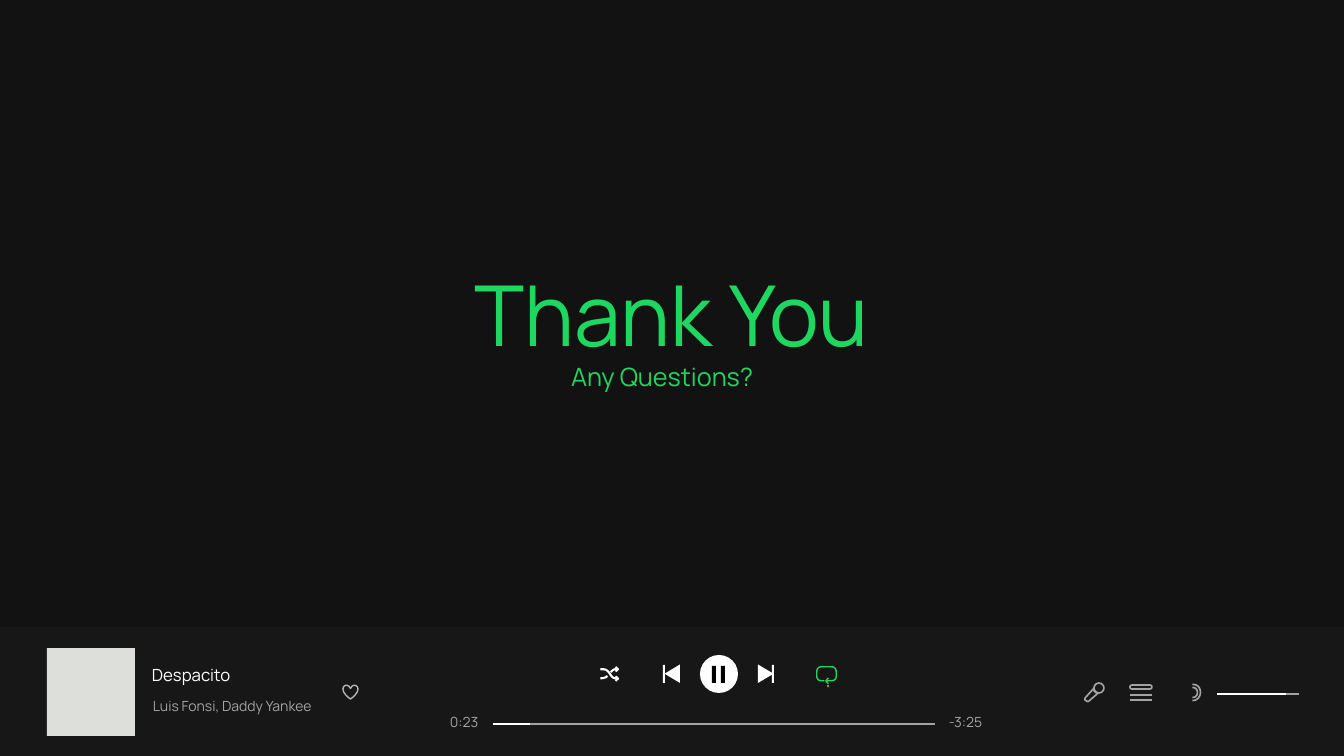
from pptx import Presentation
from pptx.dml.color import RGBColor
from pptx.enum.shapes import MSO_CONNECTOR, MSO_SHAPE
from pptx.enum.text import MSO_ANCHOR, MSO_AUTO_SIZE, PP_ALIGN
from pptx.oxml import parse_xml
from pptx.util import Emu, Pt

RECT, OVAL = MSO_SHAPE.RECTANGLE, MSO_SHAPE.OVAL
ROUND, HEART = MSO_SHAPE.ROUNDED_RECTANGLE, MSO_SHAPE.HEART
LEFT, CENTER = PP_ALIGN.LEFT, PP_ALIGN.CENTER
PX = 12192000 / 1344
FONT = "Manrope"
COLORS = {"page": "121212", "bar": "171717", "cover": "DDDFDA", "green": "1ED760",
          "white": "FFFFFF", "gray": "A3A3A3", "heart": "B4B5B2", "black": "000000"}

# Text: wording, (left, top, width, height), size, color, alignment
TITLE = ("Thank You", (435, 257, 473, 112), 60, "green", CENTER)
SUBTITLE = ("Any Questions?", (561, 356, 223, 40), 18, "green", LEFT)
LABELS = [
    ("Luis Fonsi, Daddy Yankee", (143, 693, 195, 27), 10, "gray", LEFT),
    ("Despacito", (142, 660, 211, 30), 12, "white", LEFT),
    ("0:23", (440, 709, 56, 27), 10, "gray", LEFT),
    ("-3:25", (939, 709, 60, 27), 10, "gray", LEFT),
]

# Preset shapes: kind, box, fill, line color, line width
SHAPES = [
    (RECT, (0, 627, 1344, 129), "bar", None, 0),
    (RECT, (47, 648, 88, 88), "cover", None, 0),
    (HEART, (343, 685, 15, 14), None, "heart", 1),
    (OVAL, (700, 655, 38, 38), "white", None, 0),
    (RECT, (712, 666, 4, 17), "black", None, 0),
    (RECT, (721, 666, 4, 17), "black", None, 0),
    (RECT, (663, 665, 2, 18), "white", None, 0),
    (RECT, (772, 665, 2, 18), "white", None, 0),
    (OVAL, (827, 685, 2, 2), "green", None, 0),
    (OVAL, (1094, 683, 10, 10), None, "gray", 1.2),
    (ROUND, (1130, 685, 22, 4), None, "gray", 1.2),
]

# Straight lines: x1, x2, y, color, width
LINES = [
    (493, 935, 724, "gray", 1.8), (493, 530, 724, "white", 1.8),
    (1130, 1152, 695, "gray", 1.2), (1130, 1152, 700, "gray", 1.2),
    (1217, 1299, 694, "gray", 1.8), (1217, 1286, 694, "white", 1.8),
]

# Icon outlines in tenths of a px: a pair is a point, six numbers are a curve
SHUFFLE = [
    [(6005, 6693), (6120, 6680, 6080, 6790, 6175, 6786)],
    [(6005, 6783), (6040, 6783, 6060, 6775, 6075, 6760)],
    [(6110, 6723), (6130, 6695, 6145, 6690, 6175, 6693)],
    [(6155, 6670), (6180, 6693), (6155, 6715)],
    [(6155, 6763), (6180, 6786), (6155, 6808)],
]
REPEAT = [
    [(8245, 6808), (8215, 6808), (8188, 6808, 8168, 6790, 8168, 6762),
     (8168, 6715), (8168, 6688, 8188, 6668, 8215, 6668),
     (8315, 6668), (8342, 6668, 8362, 6688, 8362, 6715),
     (8362, 6762), (8362, 6790, 8342, 6808, 8315, 6808), (8262, 6808)],
    [(8285, 6780), (8258, 6808), (8285, 6838)],
]
MICROPHONE = [
    [(10937, 6885), (10856, 6975), (10846, 6985, 10846, 6995, 10856, 7005),
     (10866, 7010), (10876, 7017, 10886, 7017, 10896, 7005),
     (10977, 6935), (10967, 6930, 10957, 6925, 10947, 6915),
     (10937, 6905, 10937, 6895, 10937, 6885)],
]
VOLUME = [
    [(11925, 6844), (11975, 6844, 12005, 6875, 12005, 6925),
     (12005, 6966, 11975, 7006, 11925, 7006)],
    [(11925, 6875), (11955, 6875, 11975, 6895, 11975, 6925),
     (11975, 6955, 11955, 6975, 11925, 6975)],
]
SKIP = [
    [(6645, 6738), (6800, 6645), (6800, 6830), (6645, 6738)],
    [(7735, 6738), (7580, 6645), (7580, 6830), (7735, 6738)],
]
# Icon strokes, fill, line color, line width
ICONS = [(SHUFFLE, None, "white", 1.5), (REPEAT, None, "green", 1),
         (MICROPHONE, None, "gray", 1.2), (VOLUME, None, "gray", 1.2),
         (SKIP, "white", None, 0)]


def rgb(name):
    return RGBColor.from_string(COLORS[name])


def px(values):
    return [Emu(round(v * PX)) for v in values]


def paint(sp, fill, line, width):
    sp.shadow.inherit = False
    if fill:
        sp.fill.solid()
        sp.fill.fore_color.rgb = rgb(fill)
    else:
        sp.fill.background()
    if line:
        sp.line.color.rgb = rgb(line)
        sp.line.width = Pt(width)
    else:
        sp.line.fill.background()


def write(sp, text, box, size, color, align):
    sp.left, sp.top, sp.width, sp.height = px(box)
    tf = sp.text_frame
    tf.text = text
    frame = {"word_wrap": False, "auto_size": MSO_AUTO_SIZE.SHAPE_TO_FIT_TEXT,
             "vertical_anchor": MSO_ANCHOR.TOP}
    p = tf.paragraphs[0]
    para = {"alignment": align, "space_before": Pt(0), "line_spacing": 1.0}
    font = {"name": FONT, "size": Pt(size), "bold": False}
    for target, values in ((tf, frame), (p, para), (p.runs[0].font, font)):
        for key, value in values.items():
            setattr(target, key, value)
    p.runs[0].font.color.rgb = rgb(color)


def flatten(path, steps=10):
    points = [path[0]]
    for part in path[1:]:
        if len(part) == 2:
            points.append(part)
            continue
        x0, y0 = points[-1]
        x1, y1, x2, y2, x3, y3 = part
        for i in range(1, steps + 1):
            t = i / steps
            a, b, c, d = (1 - t) ** 3, 3 * t * (1 - t) ** 2, 3 * t * t * (1 - t), t ** 3
            points.append((a * x0 + b * x1 + c * x2 + d * x3,
                           a * y0 + b * y1 + c * y2 + d * y3))
    return points


prs = Presentation()
prs.slide_width, prs.slide_height = px((1344, 756))
s = prs.slides.add_slide(prs.slide_layouts[0])
s.background.fill.solid()
s.background.fill.fore_color.rgb = rgb("page")

# Title and subtitle
write(s.shapes.title, *TITLE)
write(s.placeholders[1], *SUBTITLE)

# Player bar, cover and buttons
for kind, box, fill, line, width in SHAPES:
    sp = s.shapes.add_shape(kind, *px(box))
    paint(sp, fill, line, width)
    if kind == ROUND:
        sp.adjustments[0] = 0.5

# Progress, queue and volume lines
for x1, x2, y, color, width in LINES:
    line = s.shapes.add_connector(MSO_CONNECTOR.STRAIGHT, *px((x1, y, x2, y)))
    line.line.color.rgb = rgb(color)
    line.line.width = Pt(width)
    line._element.spPr.append(parse_xml(
        '<a:effectLst xmlns:a="http://schemas.openxmlformats.org/drawingml/2006/main"/>'))

# Drawn icons
for strokes, fill, line, width in ICONS:
    for path in strokes:
        points = flatten(path)
        outline = s.shapes.build_freeform(*points[0], scale=PX / 10)
        outline.add_line_segments(points[1:], close=points[0] == points[-1])
        paint(outline.convert_to_shape(), fill, line, width)

# Track labels and times
for label in LABELS:
    write(s.shapes.add_textbox(0, 0, 0, 0), *label)

prs.save("out.pptx")
